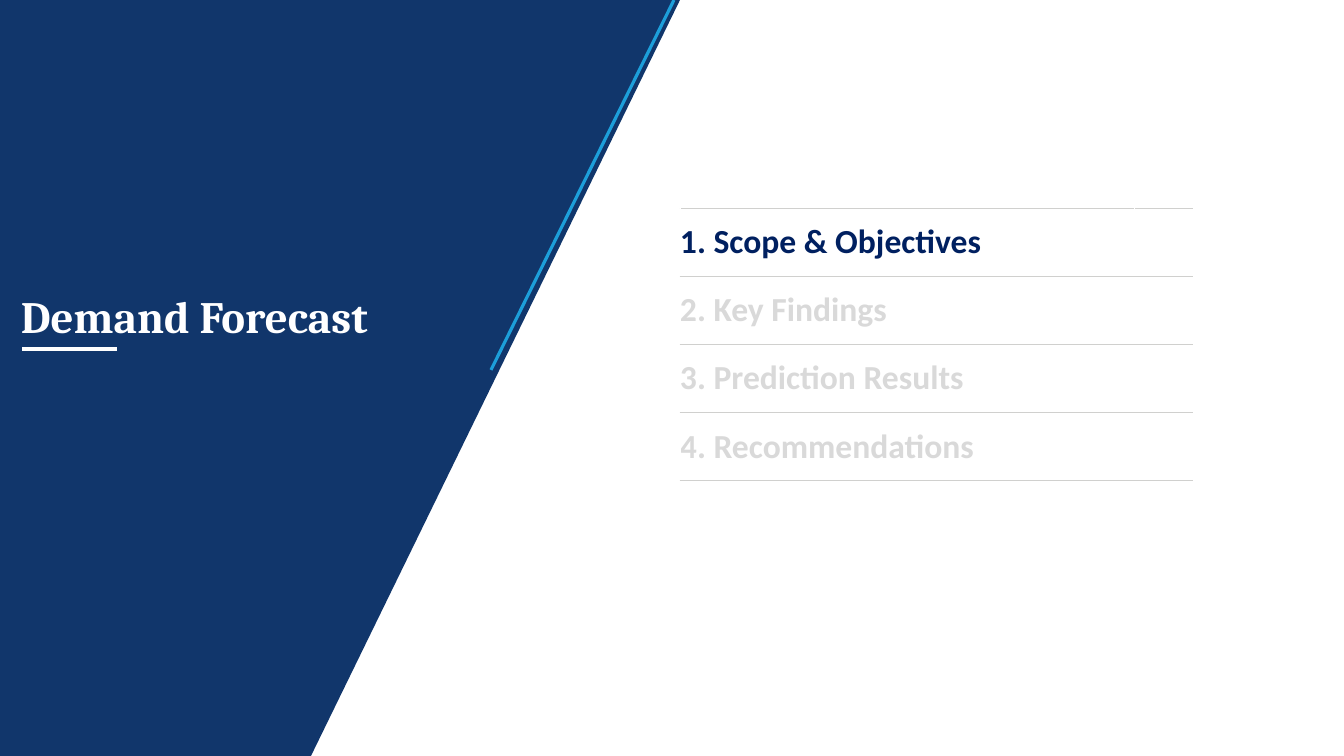
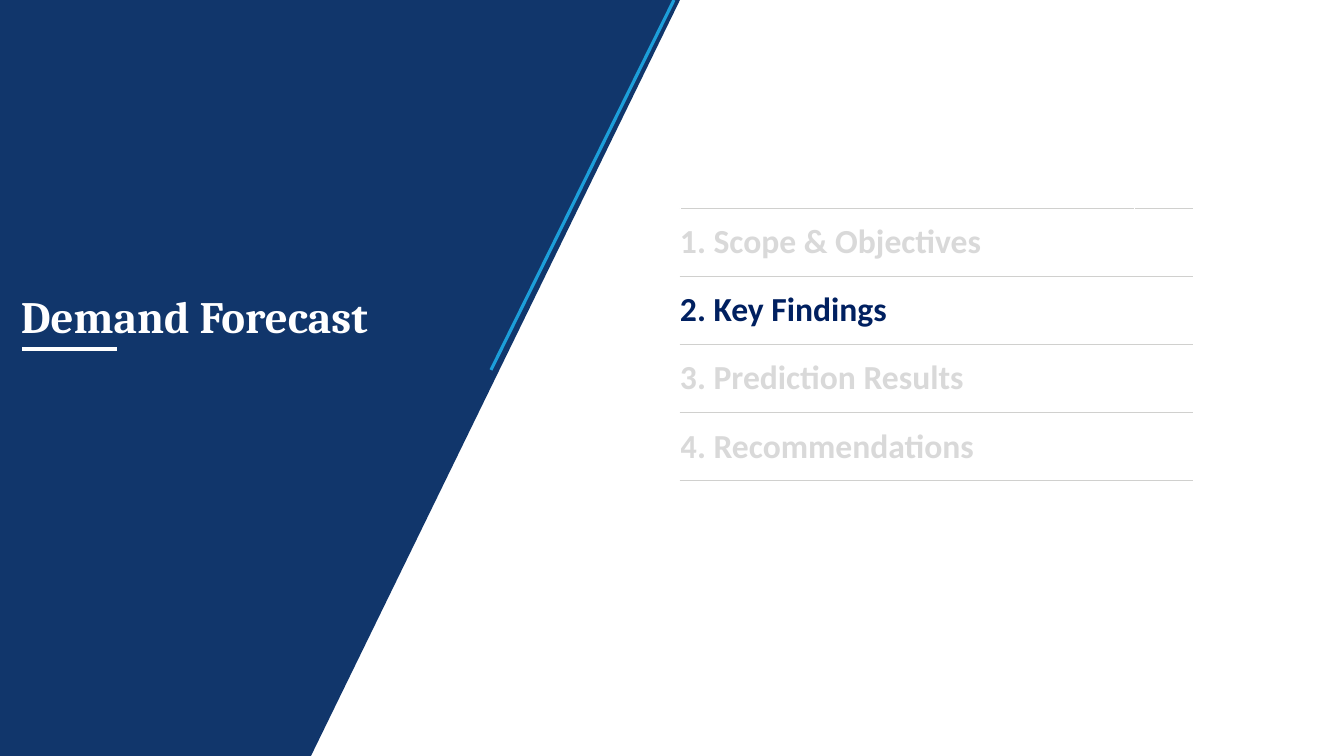
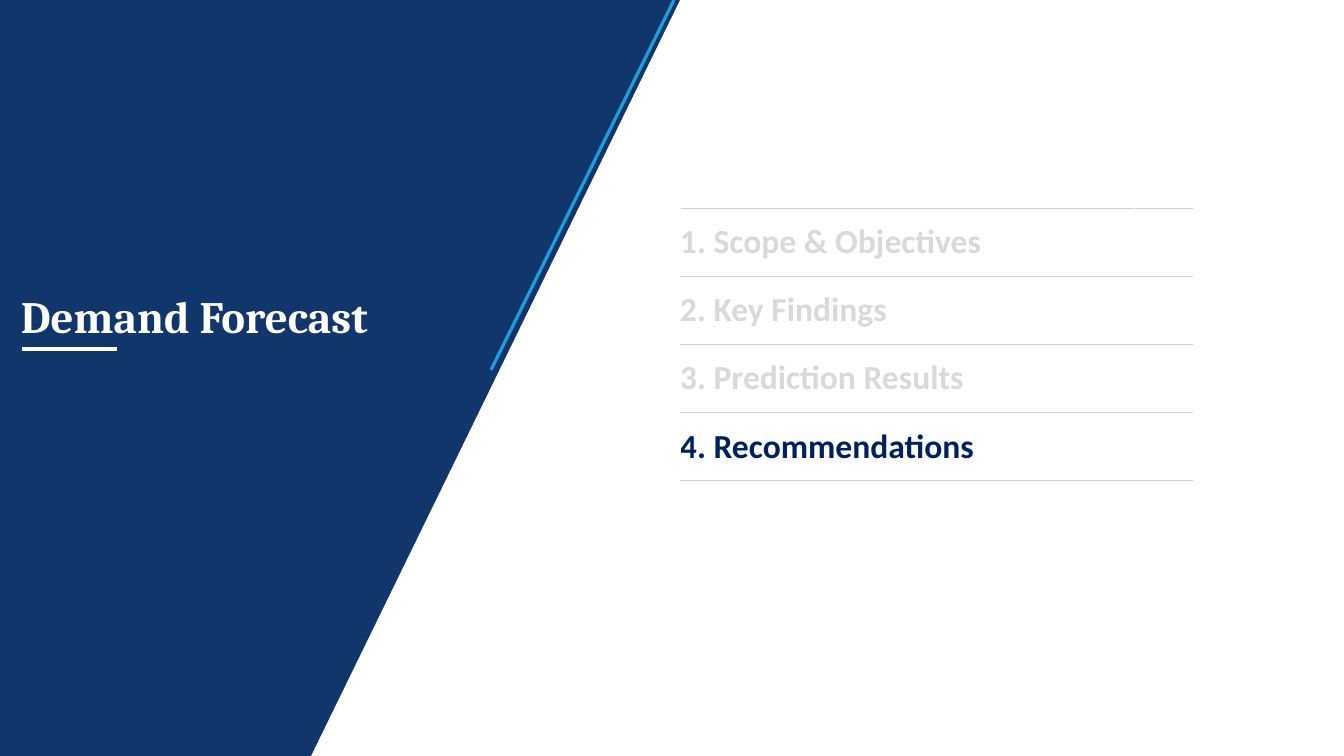
from dataclasses import dataclass

from lxml import etree
from pptx import Presentation
from pptx.dml.color import RGBColor
from pptx.enum.shapes import MSO_CONNECTOR
from pptx.enum.text import MSO_ANCHOR, MSO_AUTO_SIZE, PP_ALIGN
from pptx.oxml.ns import qn
from pptx.slide import Slide
from pptx.table import _Cell as Cell
from pptx.text.text import TextFrame
from pptx.util import Emu, Pt

STRAIGHT = MSO_CONNECTOR.STRAIGHT
TOP, MIDDLE = MSO_ANCHOR.TOP, MSO_ANCHOR.MIDDLE
LEFT = PP_ALIGN.LEFT
GROW = MSO_AUTO_SIZE.SHAPE_TO_FIT_TEXT

# Shared look
NAVY = RGBColor(0x11, 0x36, 0x6B)
SKY = RGBColor(0x1D, 0x9F, 0xDA)
WHITE = RGBColor(0xFF, 0xFF, 0xFF)
ACTIVE = RGBColor(0x00, 0x20, 0x60)
MUTED = RGBColor(0xD9, 0xD9, 0xD9)
RULE = RGBColor(0xD0, 0xD0, 0xCE)
TITLE_FONT, BODY_FONT = "Cambria", "Calibri"

SLIDE_W, SLIDE_H = 1344, 756
EMU_PER_PX = 12192000 / SLIDE_W
TITLE_ONLY = 5

# Content
TITLE = "Demand Forecast"
CHAPTERS = (
    "1. Scope & Objectives",
    "2. Key Findings",
    "3. Prediction Results",
    "4. Recommendations",
)
ACTIVE_CHAPTERS = (0, 1, 3)

# Agenda geometry
AGENDA_X, AGENDA_Y, AGENDA_H = 680, 208, 273
AGENDA_COLUMNS = (454, 59)
PANEL = ((680, 0), (0, 0), (0, SLIDE_H), (311, SLIDE_H))


@dataclass(frozen=True)
class Stroke:
    x1: int
    y1: int
    x2: int
    y2: int
    color: RGBColor
    width: float


STROKES = (
    Stroke(674, 0, 491, 370, SKY, 2.28),  # accent along the slanted edge
    Stroke(117, 349, 22, 349, WHITE, 3),  # title underline
)


def px(length: float) -> Emu:
    return Emu(round(length * EMU_PER_PX))


def write(frame: TextFrame, text: str, *, font: str, size: float,
          color: RGBColor, before: float = 0) -> None:
    paragraph = frame.paragraphs[0]
    paragraph.alignment = LEFT
    paragraph.space_before = Pt(before)
    run = paragraph.add_run()
    run.text = text
    run.font.name = font
    run.font.size = Pt(size)
    run.font.bold = True
    run.font.color.rgb = color


def draw_panel(slide: Slide) -> None:
    builder = slide.shapes.build_freeform(*PANEL[0], scale=EMU_PER_PX)
    builder.add_line_segments(PANEL[1:], close=True)
    panel = builder.convert_to_shape()
    panel.shadow.inherit = False
    panel.fill.solid()
    panel.fill.fore_color.rgb = NAVY
    panel.line.fill.background()


def draw_stroke(slide: Slide, stroke: Stroke) -> None:
    line = slide.shapes.add_connector(
        STRAIGHT, px(stroke.x1), px(stroke.y1), px(stroke.x2), px(stroke.y2))
    line.line.color.rgb = stroke.color
    line.line.width = Pt(stroke.width)
    etree.SubElement(line.element.spPr, qn("a:effectLst"))


def draw_title(slide: Slide) -> None:
    title = slide.shapes.title
    title.element.getparent().append(title.element)  # in front of the panel
    title.left, title.top = px(20), px(288)
    title.width, title.height = px(408), px(55)
    frame = title.text_frame
    frame.margin_left = frame.margin_top = px(1)
    frame.margin_right = frame.margin_bottom = 0
    frame.vertical_anchor = TOP
    frame.word_wrap = True
    frame.auto_size = GROW
    write(frame, TITLE, font=TITLE_FONT, size=32, color=WHITE, before=0.9)


def set_borders(cell: Cell) -> None:
    """White sides, grey top and bottom; borders precede the fill."""
    properties = cell._tc.get_or_add_tcPr()
    sides = (("L", WHITE), ("R", WHITE), ("T", RULE), ("B", RULE))
    for position, (side, color) in enumerate(sides):
        border = etree.Element(qn(f"a:ln{side}"), w=str(Pt(0.75)))
        fill = etree.SubElement(border, qn("a:solidFill"))
        etree.SubElement(fill, qn("a:srgbClr"), val=str(color))
        properties.insert(position, border)


def draw_agenda(slide: Slide, active: int) -> None:
    agenda = slide.shapes.add_table(
        len(CHAPTERS), len(AGENDA_COLUMNS), px(AGENDA_X), px(AGENDA_Y),
        px(sum(AGENDA_COLUMNS)), px(AGENDA_H)).table
    agenda.first_row = agenda.horz_banding = False
    for column, width in zip(agenda.columns, AGENDA_COLUMNS):
        column.width = px(width)
    for index, (row, chapter) in enumerate(zip(agenda.rows, CHAPTERS)):
        row.height = px(AGENDA_H / len(CHAPTERS))
        for cell in row.cells:
            cell.fill.background()
            set_borders(cell)
            cell.margin_left = cell.margin_right = 0
            cell.margin_top = cell.margin_bottom = px(7)
            cell.vertical_anchor = MIDDLE
        write(row.cells[0].text_frame, chapter, font=BODY_FONT, size=24,
              color=ACTIVE if index == active else MUTED)


def main() -> None:
    deck = Presentation()
    deck.slide_width, deck.slide_height = px(SLIDE_W), px(SLIDE_H)
    for active in ACTIVE_CHAPTERS:
        slide = deck.slides.add_slide(deck.slide_layouts[TITLE_ONLY])
        draw_panel(slide)
        for stroke in STROKES:
            draw_stroke(slide, stroke)
        draw_title(slide)
        draw_agenda(slide, active)
    deck.save("out.pptx")


if __name__ == "__main__":
    main()
